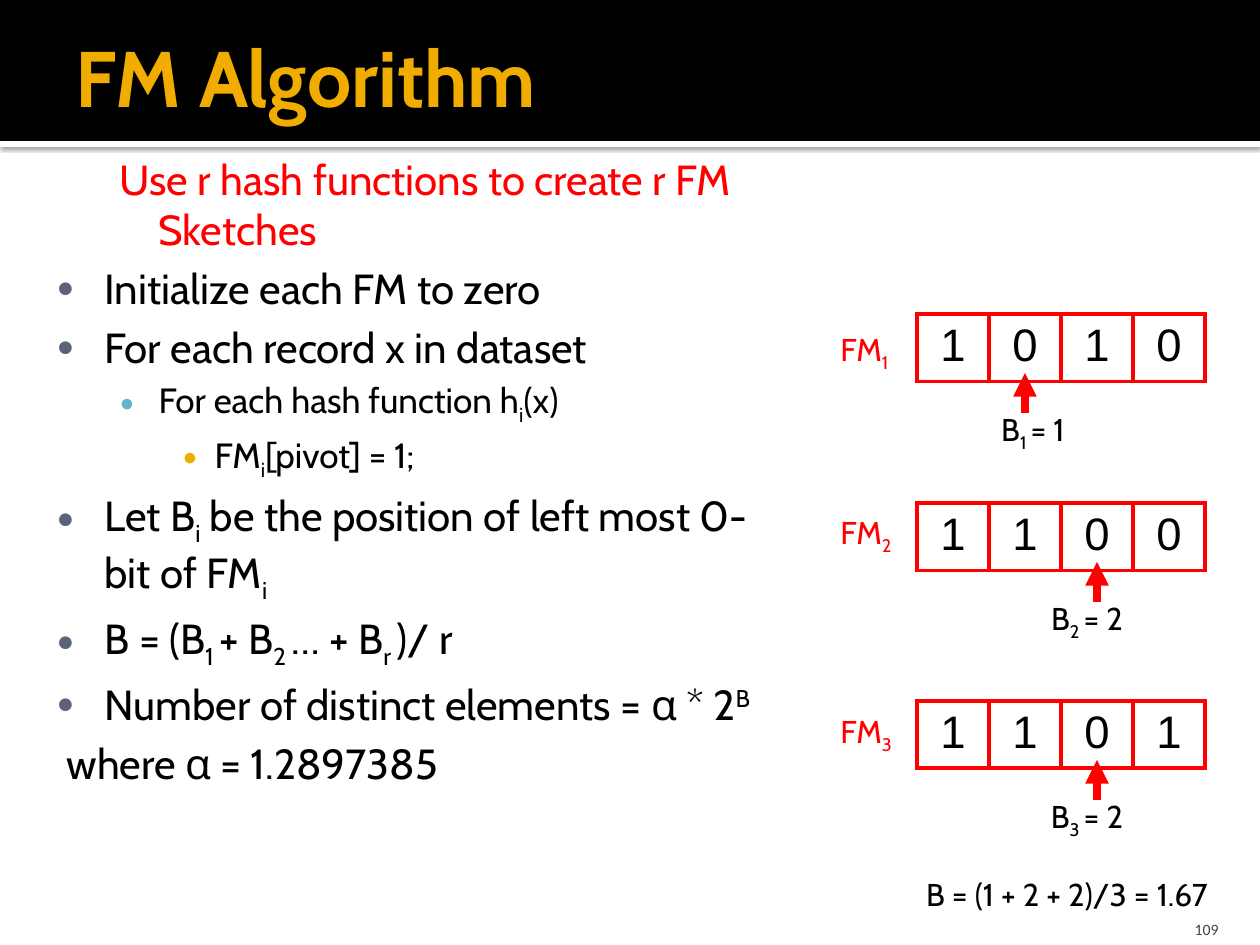
from dataclasses import dataclass

from lxml import etree
from pptx import Presentation
from pptx import util as u
from pptx.dml.color import RGBColor
from pptx.enum import shapes, text
from pptx.oxml import ns

SCALE = u.Inches(1) / 126


def px(length):
    return u.Emu(round(length * SCALE))


def add_xml(parent, tag, **attributes):
    return etree.SubElement(parent, ns.qn(tag), attributes)


@dataclass(frozen=True)
class Theme:
    font: str = "Cabin"
    bit_font: str = "Arial"
    number_font: str = "Calibri"
    black: str = "000000"
    white: str = "FFFFFF"
    red: str = "FF0000"
    gold: str = "F0AD00"
    gray: str = "454545"
    bullets: tuple = ("5A6378", "60B5CC", "F0AD00")
    title_size: int = 45
    bit_size: int = 26
    body_size: int = 24
    detail_size: int = 20
    label_size: int = 18
    number_size: int = 9


class SlideBuilder:
    def __init__(self, slide, theme):
        self.slide = slide
        self.theme = theme

    def style(self, paragraph, size, color, font=None, bold=False):
        paragraph.font.size = u.Pt(size)
        paragraph.font.name = font or self.theme.font
        paragraph.font.bold = bold
        paragraph.font.color.rgb = RGBColor.from_string(color)

    def add_words(self, paragraph, marked_text):
        for index, piece in enumerate(marked_text.split("|")):
            run = paragraph.add_run()
            run.text = piece.lstrip("^")
            if index % 2:
                baseline = "30000" if piece.startswith("^") else "-25000"
                run._r.get_or_add_rPr().set("baseline", baseline)

    def place(self, shape, left, top, width, height):
        shape.left, shape.top = px(left), px(top)
        shape.width, shape.height = px(width), px(height)

    def band(self, order, top, height, color, shadow=False):
        tree = self.slide.shapes._spTree
        shape = self.slide.shapes.add_shape(
            shapes.MSO_SHAPE.RECTANGLE, 0, px(top), px(1260), px(height))
        shape.shadow.inherit = False
        shape.fill.solid()
        shape.fill.fore_color.rgb = RGBColor.from_string(color)
        shape.line.fill.background()
        if shadow:
            effects = shape._element.spPr.find(ns.qn("a:effectLst"))
            outer = add_xml(effects, "a:outerShdw", blurRad=str(u.Pt(2.5)),
                            dist=str(u.Pt(0.8)), dir="5400000")
            tint = add_xml(outer, "a:srgbClr", val=self.theme.black)
            add_xml(tint, "a:alpha", val="60000")
        tree.insert(2 + order, shape._element)

    def title(self, words, *box):
        shape = self.slide.shapes.title
        self.place(shape, *box)
        frame = shape.text_frame
        frame.auto_size = text.MSO_AUTO_SIZE.NONE
        frame.vertical_anchor = text.MSO_ANCHOR.MIDDLE
        frame.margin_right = u.Inches(0.05)
        paragraph = frame.paragraphs[0]
        paragraph.alignment = text.PP_ALIGN.LEFT
        self.add_words(paragraph, words)
        self.style(paragraph, self.theme.title_size, self.theme.gold, bold=True)

    def body(self, items, *box):
        shape = self.slide.placeholders[1]
        self.place(shape, *box)
        frame = shape.text_frame
        frame.auto_size = text.MSO_AUTO_SIZE.NONE
        frame.vertical_anchor = text.MSO_ANCHOR.TOP
        for index, (level, size, color, bullet, margin, indent, words) in enumerate(items):
            paragraph = frame.add_paragraph() if index else frame.paragraphs[0]
            paragraph.level = level
            properties = paragraph._p.get_or_add_pPr()
            properties.set("marL", str(px(margin)))
            properties.set("indent", str(px(indent)))
            if bullet:
                tint = add_xml(properties, "a:buClr")
                add_xml(tint, "a:srgbClr", val=self.theme.bullets[level])
                add_xml(properties, "a:buSzPct", val="70000")
                add_xml(properties, "a:buFont", typeface=self.theme.bit_font)
                add_xml(properties, "a:buChar", char="●")
            else:
                add_xml(properties, "a:buNone")
            paragraph.space_before = u.Pt(size * 0.2 if index else 0)
            self.add_words(paragraph, words)
            self.style(paragraph, size, color)

    def label(self, words, left, top, width, height, color, size=None, font=None,
              align=text.PP_ALIGN.CENTER, anchor=text.MSO_ANCHOR.TOP):
        shape = self.slide.shapes.add_textbox(px(left), px(top), px(width), px(height))
        frame = shape.text_frame
        frame.word_wrap = False
        frame.vertical_anchor = anchor
        paragraph = frame.paragraphs[0]
        paragraph.alignment = align
        self.add_words(paragraph, words)
        self.style(paragraph, size or self.theme.label_size, color, font)

    def bit_table(self, bits, left, top, cell_width, height):
        table = self.slide.shapes.add_table(
            1, len(bits), px(left), px(top), px(cell_width * len(bits)), px(height)).table
        table.first_row = table.horz_banding = False
        for column, bit in enumerate(bits):
            cell = table.cell(0, column)
            properties = cell._tc.get_or_add_tcPr()
            for side in ("a:lnL", "a:lnR", "a:lnT", "a:lnB"):
                border = add_xml(properties, side, w=str(u.Pt(2.25)))
                fill = add_xml(border, "a:solidFill")
                add_xml(fill, "a:srgbClr", val=self.theme.red)
            cell.fill.background()
            paragraph = cell.text_frame.paragraphs[0]
            paragraph.alignment = text.PP_ALIGN.CENTER
            self.add_words(paragraph, bit)
            self.style(paragraph, self.theme.bit_size, self.theme.black, self.theme.bit_font)

    def arrow_up(self, x, bottom, top):
        connector = self.slide.shapes.add_connector(
            shapes.MSO_CONNECTOR.STRAIGHT, px(x), px(bottom), px(x), px(top))
        connector.line.color.rgb = RGBColor.from_string(self.theme.red)
        connector.line.width = u.Pt(4.5)
        add_xml(connector.line._get_or_add_ln(), "a:tailEnd", type="triangle")
        add_xml(connector._element.spPr, "a:effectLst")


def main():
    presentation = Presentation()
    presentation.slide_width, presentation.slide_height = px(1260), px(945)
    theme = Theme()
    builder = SlideBuilder(
        presentation.slides.add_slide(presentation.slide_layouts[1]), theme)

    builder.band(0, 141, 6, theme.white, shadow=True)
    builder.band(1, 0, 141, theme.black)
    builder.title("FM Algorithm", 63, -14, 1040, 179)

    large, small = theme.body_size, theme.detail_size
    step = (0, large, theme.black, True, 48, -48)
    builder.body([
        (1, large, theme.red, False, 102, -39, "Use r hash functions to create r FM Sketches"),
        (*step, "Initialize each FM to zero"),
        (*step, "For each record x in dataset"),
        (1, small, theme.black, True, 102, -39, "For each hash function h|i|(x)"),
        (2, small, theme.black, True, 158, -32, "FM|i|[pivot] = 1;"),
        (*step, "Let B|i| be the position of left most 0-bit of FM|i"),
        (*step, "B = (B|1 |+ B|2 |… + B|r |)/ r"),
        (*step, "Number of distinct elements = α * 2|^B"),
        (0, large, theme.black, False, 10, 0, "where α = 1.2897385"),
    ], 44, 147, 743, 735)

    table_left, cell_width = 917, 72
    sketches = [("1010", 314, 324, 969), ("1100", 503, 507, 1023), ("1101", 701, 706, 1023)]
    for number, (bits, top, name_top, result_left) in enumerate(sketches, 1):
        pivot = bits.index("0")
        builder.label(f"FM|{number}", 828, name_top, 88, 54, theme.red,
                      align=text.PP_ALIGN.LEFT)
        builder.bit_table(bits, table_left, top, cell_width, 67)
        builder.label(f"B|{number} |= {pivot}", result_left, top + 90, 128, 55, theme.black)
        builder.arrow_up(table_left + cell_width * (pivot + 0.5), top + 99, top + 59)

    builder.label("B = (1 + 2 + 2)/3 = 1.67", 874, 869, 386, 54, theme.black)
    builder.label("109", 1130, 907, 101, 38, theme.gray, theme.number_size,
                  theme.number_font, text.PP_ALIGN.RIGHT, text.MSO_ANCHOR.BOTTOM)
    presentation.save("out.pptx")


if __name__ == "__main__":
    main()
